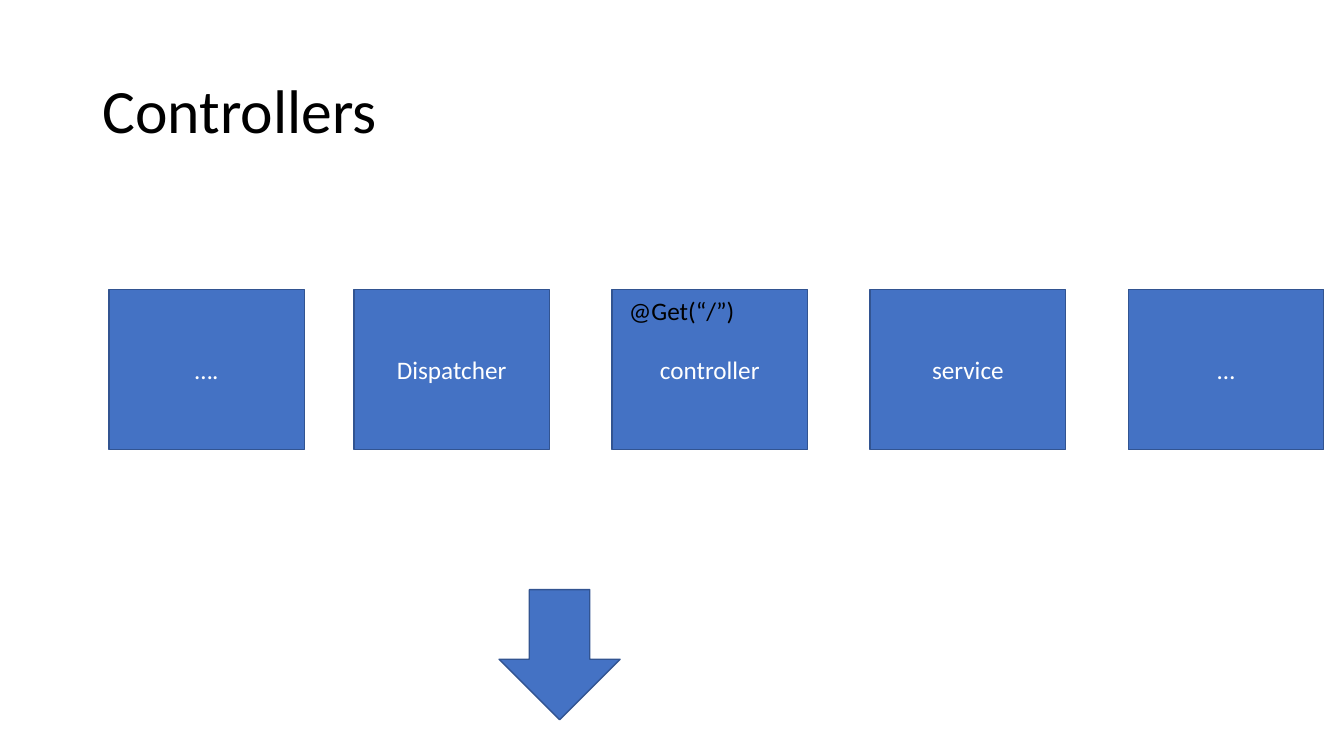
from pptx import Presentation
from pptx.dml.color import RGBColor
from pptx.enum.shapes import MSO_SHAPE as Shape
from pptx.enum.text import MSO_ANCHOR as Anchor, PP_ALIGN as Align
from pptx.util import Inches, Pt

# Content
TITLE = "Controllers"
FIRST_STAGE = "…."
STAGES = ["Dispatcher", "controller", "service", "…"]
ROUTE = "@Get(“/”)"

# Layout in inches
FIRST_LEFT, STAGES_LEFT, STAGE_PITCH = 1.08, 3.51, 2.56
STAGE_TOP, STAGE_WIDTH, STAGE_HEIGHT = 2.87, 1.94, 1.59

# Style
FONT = "Calibri"
BLUE, DARK_BLUE, BLACK, WHITE = "4472C4", "325491", "000000", "FFFFFF"

presentation = Presentation()
presentation.slide_width = Inches(13.33)
presentation.slide_height = Inches(7.5)
slide = presentation.slides.add_slide(presentation.slide_layouts[6])


def color(value):
    return RGBColor.from_string(value)


def write(shape, text, size, font_color, align=Align.LEFT, anchor=Anchor.MIDDLE):
    frame = shape.text_frame
    frame.text = text
    frame.word_wrap = True
    frame.vertical_anchor = anchor
    paragraph = frame.paragraphs[0]
    paragraph.alignment = align
    font = paragraph.runs[0].font
    font.name, font.size = FONT, Pt(size)
    font.color.rgb = color(font_color)
    return paragraph


def add_text(text, box, size, anchor):
    shape = slide.shapes.add_textbox(*map(Inches, box))
    return write(shape, text, size, BLACK, anchor=anchor)


def add_block(kind, *box):
    shape = slide.shapes.add_shape(kind, *map(Inches, box))
    shape.shadow.inherit = False
    shape.fill.solid()
    shape.fill.fore_color.rgb = color(BLUE)
    shape.line.color.rgb = color(DARK_BLUE)
    shape.line.width = Pt(1)
    return shape


# Title
title = add_text(TITLE, (0.92, 0.4, 11.5, 1.45), 44, Anchor.MIDDLE)
title.line_spacing = 0.9

# Request stages: the first stands apart, the rest are evenly spaced
stages = [(FIRST_STAGE, FIRST_LEFT)]
stages += [(name, STAGES_LEFT + i * STAGE_PITCH) for i, name in enumerate(STAGES)]
for name, left in stages:
    stage = add_block(Shape.RECTANGLE, left, STAGE_TOP, STAGE_WIDTH, STAGE_HEIGHT)
    write(stage, name, 18, WHITE, Align.CENTER)

# Route on the controller
add_text(ROUTE, (6.14, 2.88, 1.8, 0.4), 18, Anchor.TOP)

# Down arrow
add_block(Shape.DOWN_ARROW, 4.95, 5.85, 1.2, 1.29)

presentation.save("out.pptx")
